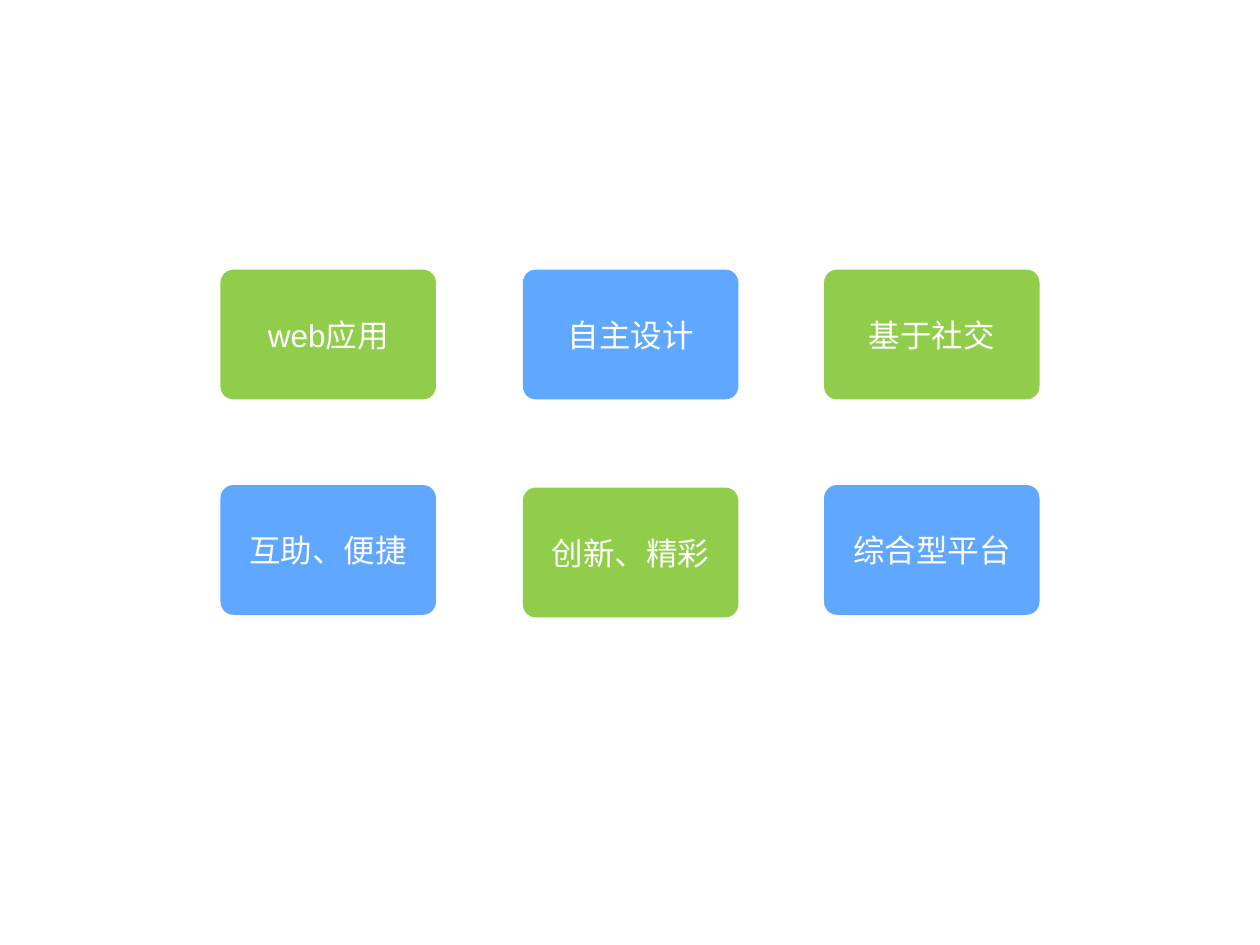
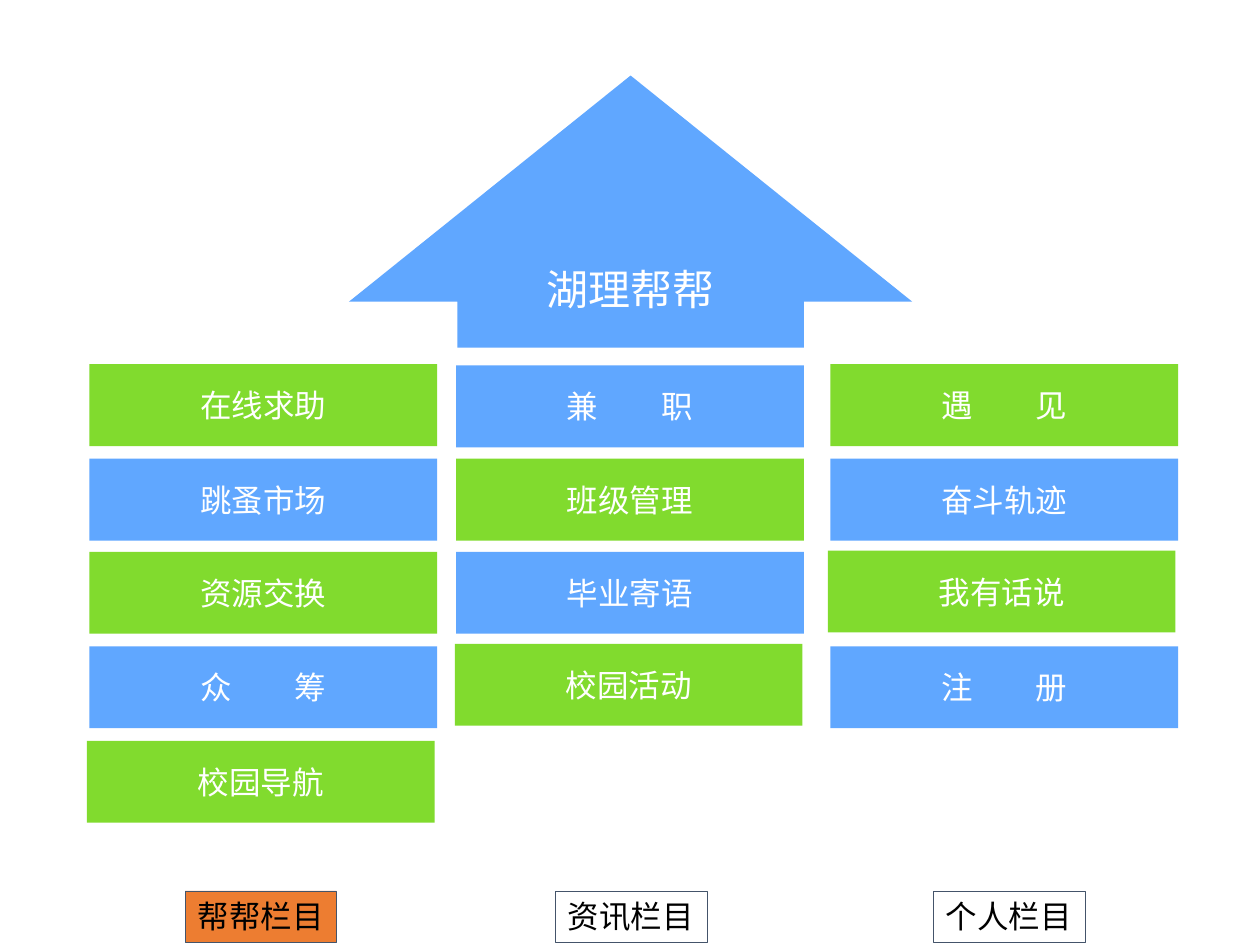
from pptx import Presentation
from pptx.dml.color import RGBColor
from pptx.enum.shapes import MSO_SHAPE as SHAPE
from pptx.enum.text import MSO_ANCHOR as ANCHOR, MSO_AUTO_SIZE as AUTO, PP_ALIGN as ALIGN
from pptx.oxml.ns import qn
from pptx.util import Pt
from lxml import etree

PX = 9144  # EMU; 100 px to the inch
COLORS = {"lime": "90CD4B", "green": "81DB2E", "blue": "60A7FF", "orange": "ED7D31",
          "slate": "44546A", "white": "FFFFFF", "black": "000000"}
CJK_FONT = "Noto Sans CJK SC"


def rgb(name):
    return RGBColor.from_string(COLORS[name])


class Deck:
    def __init__(self, width, height):
        self.prs = Presentation()
        self.prs.slide_width, self.prs.slide_height = width * PX, height * PX
        self.s = None

    def new_slide(self):
        self.s = self.prs.slides.add_slide(self.prs.slide_layouts[6])

    def shape(self, kind, box, fill=None, line=None, adjust=()):
        sp = self.s.shapes.add_shape(kind, *(v * PX for v in box))
        sp.shadow.inherit = False
        for i, value in enumerate(adjust):
            sp.adjustments[i] = value
        if fill:
            sp.fill.solid()
            sp.fill.fore_color.rgb = rgb(fill)
        else:
            sp.fill.background()
        if line:
            sp.line.color.rgb = rgb(line)
            sp.line.width = Pt(0.25)
        else:
            sp.line.fill.background()
        return sp

    def run(self, p, text, size, font, color, gap=0):
        """Add a run; gap is extra space in points after each character."""
        r = p.add_run()
        r.text = text
        r.font.size, r.font.name = Pt(size), font
        r.font.color.rgb = rgb(color)
        r_pr = r.font._element
        etree.SubElement(r_pr, qn("a:ea")).set("typeface", CJK_FONT)
        if gap:
            r_pr.set("spc", str(gap * 100))

    def block(self, box, text, fill, kind=SHAPE.RECTANGLE, adjust=(),
              size=18, font="Arial", spacing=None):
        """Filled shape with centred white text; two-character words are spread to four."""
        sp = self.shape(kind, box, fill, adjust=adjust)
        tf = sp.text_frame
        tf.vertical_anchor = ANCHOR.MIDDLE
        p = tf.paragraphs[0]
        p.alignment = ALIGN.CENTER
        p.line_spacing = spacing
        if len(text) == 2:
            self.run(p, text[0], size, font, "white", gap=2 * size)
            text = text[1]
        self.run(p, text, size, font, "white")

    def tag(self, box, text, fill=None):
        """Outlined column label that fits its text."""
        sp = self.shape(SHAPE.RECTANGLE, box, fill, "slate")
        tf = sp.text_frame
        tf.word_wrap = False
        tf.auto_size = AUTO.SHAPE_TO_FIT_TEXT
        tf.vertical_anchor = ANCHOR.TOP
        p = tf.paragraphs[0]
        p.alignment = ALIGN.LEFT
        self.run(p, text, 18, "Calibri", "black")


def build_features(deck):
    deck.new_slide()
    features = [["web应用", "自主设计", "基于社交"],
                ["互助、便捷", "创新、精彩", "综合型平台"]]
    nudges = {"创新、精彩": 2}
    for row, names in enumerate(features):
        for col, (x, name) in enumerate(zip((175, 415, 654), names)):
            y = 214 + 171 * row + nudges.get(name, 0)
            fill = ("lime", "blue")[(row + col) % 2]
            deck.block((x, y, 171, 103), name, fill, SHAPE.ROUNDED_RECTANGLE, (0.1,))


def build_modules(deck):
    deck.new_slide()
    deck.block((277, 60, 447, 216), "湖理帮帮", "blue", SHAPE.UP_ARROW, (0.615, 0.831),
               size=24, font=CJK_FONT, spacing=1.3)
    columns = [
        (71, ["在线求助", "跳蚤市场", "资源交换", "众筹", "校园导航"], "帮帮栏目", 147, "orange"),
        (362, ["兼职", "班级管理", "毕业寄语", "校园活动"], "资讯栏目", 441, None),
        (659, ["遇见", "奋斗轨迹", "我有话说", "注册"], "个人栏目", 741, None),
    ]
    nudges = {"校园导航": (-2, 1), "校园活动": (-1, -2), "我有话说": (-2, -1), "兼职": (0, 1)}
    for col, (x, names, label, label_x, label_fill) in enumerate(columns):
        for row, name in enumerate(names):
            dx, dy = nudges.get(name, (0, 0))
            y = round(289 + 74.6 * row)
            fill = ("green", "blue")[(row + col) % 2]
            deck.block((x + dx, y + dy, 276, 65), name, fill)
        deck.tag((label_x, 707, 120, 41), label, label_fill)


def main():
    deck = Deck(1000, 750)
    build_features(deck)
    build_modules(deck)
    deck.prs.save("out.pptx")


if __name__ == "__main__":
    main()
